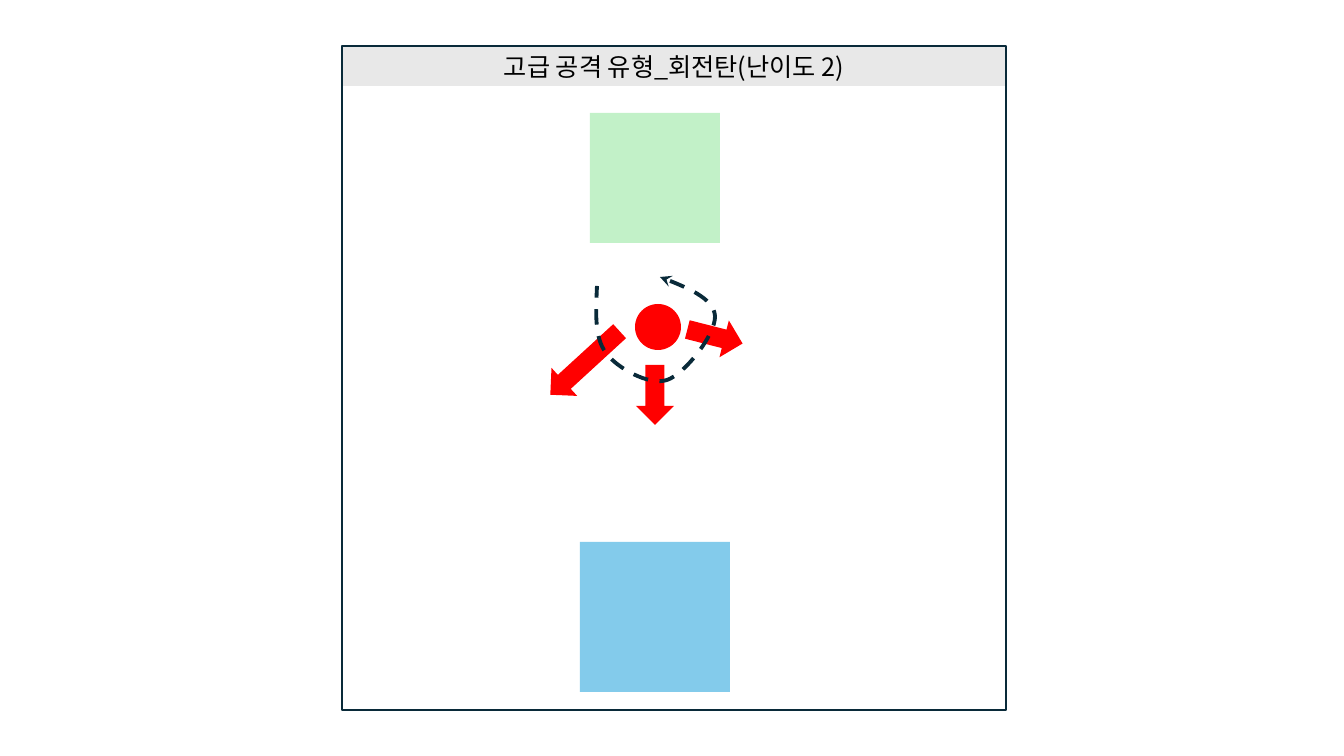
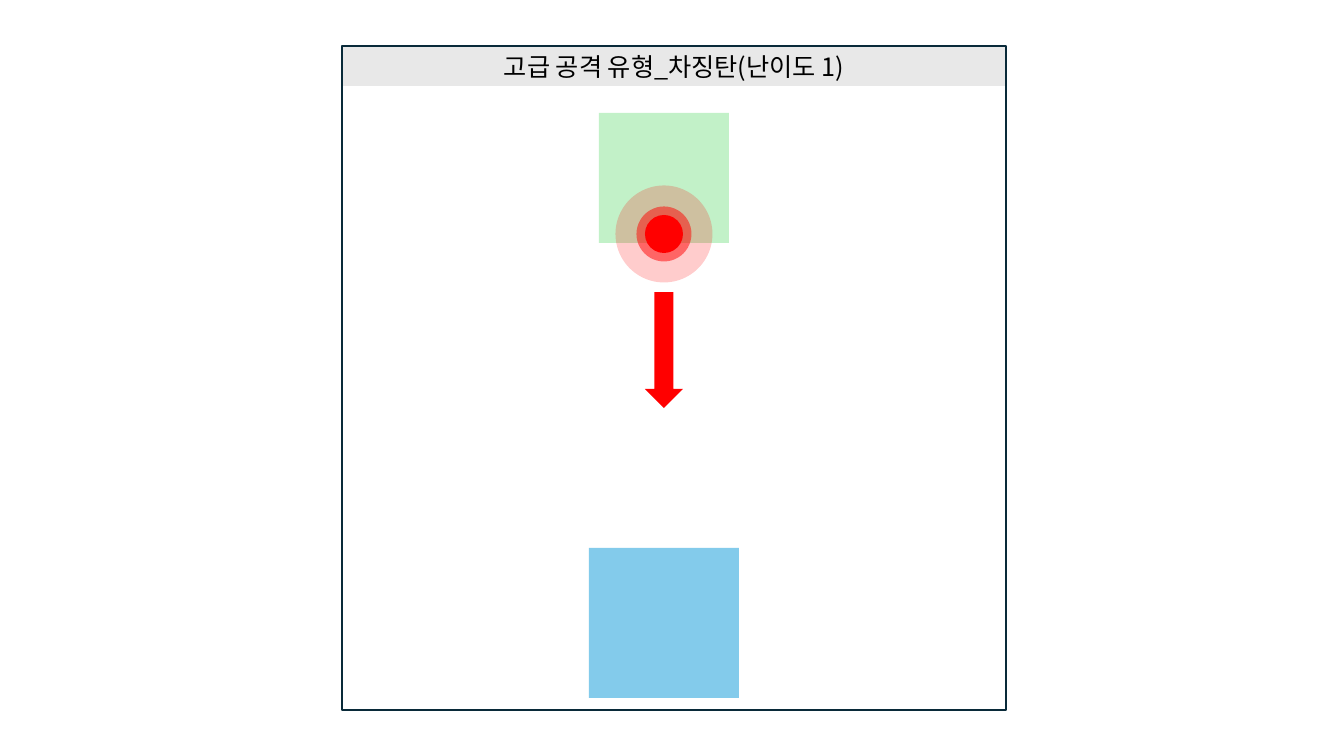
from lxml.etree import SubElement
from pptx import Presentation
from pptx.dml.color import RGBColor
from pptx.enum.dml import MSO_LINE
from pptx.enum.shapes import MSO_SHAPE
from pptx.enum.text import MSO_ANCHOR, PP_ALIGN
from pptx.oxml.ns import qn
from pptx.util import Pt

SCALE = 12192000 / 1344
PAGE = (1344, 756)
ARENA = (342, 46, 664, 664)
BAND = 40
FONT = "Noto Sans CJK KR"
HUES = {"band": "E8E8E8", "edge": "092A39", "text": "000000",
        "enemy": "C2F1C8", "player": "83CBEB", "shot": "FF0000"}
FRAME = {"word_wrap": True, "vertical_anchor": MSO_ANCHOR.MIDDLE,
         "margin_top": 0, "margin_bottom": 0}
TITLE = {"name": FONT, "size": Pt(18)}
EDGE = {"width": Pt(1.5)}
DASH = {"width": Pt(2.75), "dash_style": MSO_LINE.DASH}
ENEMY, PLAYER = 130, 150
SPIN = [(318, 231), (344, 241), (372, 252), (373, 270), (374, 288),
        (343, 328), (325, 334), (307, 340), (275, 322), (264, 307),
        (252, 291), (254, 265), (255, 240)]


def emu(px):
    """Turn px into EMU."""
    return round(px * SCALE)


def hue(name):
    """Look up a named colour."""
    return RGBColor.from_string(HUES[name])


def style(item, values):
    """Set each format value on the item."""
    for key, value in values.items():
        setattr(item, key, value)


def outline(shape, values):
    """Give an unfilled shape the edge colour and a line format."""
    shape.shadow.inherit = False
    shape.fill.background()
    shape.line.color.rgb = hue("edge")
    style(shape.line, values)


def add(slide, kind, box, spot, color=None, turn=0, alpha=None):
    """Place a preset shape at a spot relative to the box."""
    left, top, wide, high = spot
    shape = slide.shapes.add_shape(
        kind, emu(box[0] + left), emu(box[1] + top), emu(wide), emu(high))
    shape.rotation = turn
    if color is None:
        outline(shape, EDGE)
        return shape
    shape.shadow.inherit = False
    shape.fill.solid()
    shape.fill.fore_color.rgb = hue(color)
    shape.line.fill.background()
    if alpha is not None:
        tint = shape.element.spPr.find(qn("a:solidFill"))[0]
        SubElement(tint, qn("a:alpha"), val=str(alpha * 1000))
    return shape


def arena(deck, box, title, enemy, player):
    """Add a slide with the title band, both fighters and the frame."""
    slide = deck.slides.add_slide(deck.slide_layouts[6])
    wide, high = box[2:]
    band = add(slide, MSO_SHAPE.RECTANGLE, box, (0, 0, wide, BAND), "band")
    style(band.text_frame, FRAME)
    para = band.text_frame.paragraphs[0]
    para.alignment = PP_ALIGN.CENTER
    run = para.add_run()
    run.text = title
    style(run.font, TITLE)
    run.font.color.rgb = hue("text")
    SubElement(run.font._element, qn("a:ea"), typeface=FONT)
    for color, spot, size in (("enemy", enemy, ENEMY),
                              ("player", player, PLAYER)):
        add(slide, MSO_SHAPE.RECTANGLE, box, (*spot, size, size), color)
    add(slide, MSO_SHAPE.RECTANGLE, box, (0, 0, wide, high))
    return slide


def curve(knots, steps=16):
    """Sample a chain of cubic curves as points."""
    points = [knots[0]]
    for first in range(0, len(knots) - 1, 3):
        part = knots[first:first + 4]
        for step in range(1, steps + 1):
            t = step / steps
            mix = ((1 - t) ** 3, 3 * t * (1 - t) ** 2,
                   3 * t ** 2 * (1 - t), t ** 3)
            points.append(tuple(sum(m * p[axis] for m, p in zip(mix, part))
                                for axis in (0, 1)))
    return points


def spin(slide, box):
    """Draw the dashed turning path with its arrowhead."""
    points = [(emu(box[0] + x), emu(box[1] + y)) for x, y in curve(SPIN)]
    pen = slide.shapes.build_freeform(*points[0])
    pen.add_line_segments(points[1:], close=False)
    shape = pen.convert_to_shape()
    outline(shape, DASH)
    SubElement(shape.element.spPr.find(qn("a:ln")), qn("a:headEnd"),
               type="stealth")


def rotary(deck, box):
    """Build the slide of the spinning shot."""
    slide = arena(deck, box, "고급 공격 유형_회전탄(난이도 2)",
                  (248, 67), (238, 496))
    for spot, turn in (((294, 319, 38, 60), 0),
                       ((224, 270, 38, 94), 47.5),
                       ((354, 262, 38, 57), 284.3)):
        add(slide, MSO_SHAPE.DOWN_ARROW, box, spot, "shot", turn)
    add(slide, MSO_SHAPE.OVAL, box, (293, 258, 46, 46), "shot")
    spin(slide, box)


def charge(deck, box):
    """Build the slide of the charged shot."""
    slide = arena(deck, box, "고급 공격 유형_차징탄(난이도 1)",
                  (257, 67), (247, 502))
    add(slide, MSO_SHAPE.DOWN_ARROW, box, (303, 246, 38, 116), "shot")
    mid, base = 322, 188
    for size, alpha in ((38, None), (55, 50), (97, 20)):
        spot = (mid - size / 2, base - size / 2, size, size)
        add(slide, MSO_SHAPE.OVAL, box, spot, "shot", alpha=alpha)


def main():
    """Build and save the deck."""
    deck = Presentation()
    style(deck, dict(zip(("slide_width", "slide_height"), map(emu, PAGE))))
    for build in (rotary, charge):
        build(deck, ARENA)
    deck.save("out.pptx")


if __name__ == "__main__":
    main()
